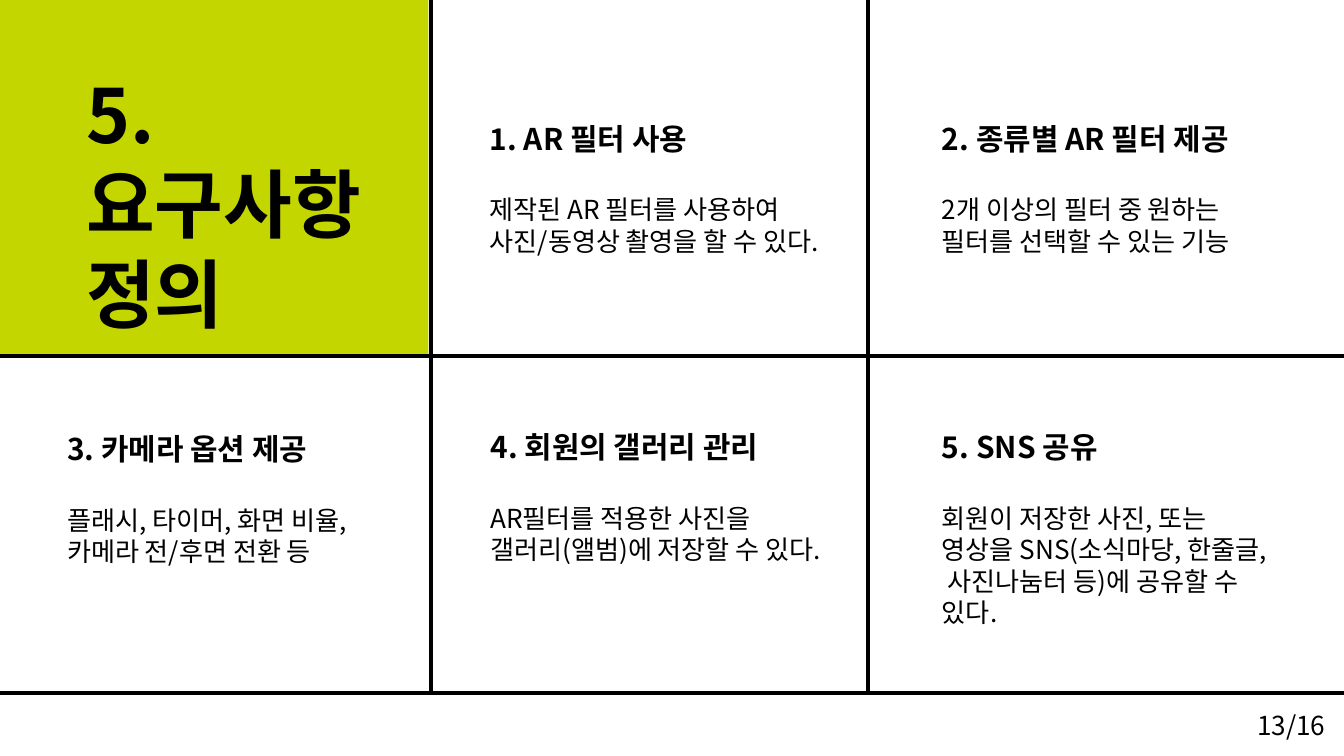
from pptx import Presentation
from pptx.dml.color import RGBColor
from pptx.enum.shapes import MSO_CONNECTOR, MSO_SHAPE
from pptx.enum.text import MSO_ANCHOR, MSO_AUTO_SIZE, PP_ALIGN
from pptx.oxml.ns import qn
from pptx.util import Pt
from lxml import etree

LINE = MSO_CONNECTOR.STRAIGHT
RECT = MSO_SHAPE.RECTANGLE
TOP = MSO_ANCHOR.TOP
GROW = MSO_AUTO_SIZE.SHAPE_TO_FIT_TEXT
LEFT, RIGHT = PP_ALIGN.LEFT, PP_ALIGN.RIGHT

BLACK = RGBColor(0, 0, 0)
LIME = RGBColor(0xC3, 0xD6, 0x00)
FONT = "Noto Sans CJK KR"

# Content
TITLE = ["5.", "요구사항", "정의"]
PAGE = "13/16"
# left, top, heading, text, text height
CARDS = [
    (517.7, 122.4, "1. AR 필터 사용",
     "제작된 AR 필터를 사용하여 사진/동영상 촬영을 할 수 있다.", 75),
    (1002.2, 122.4, "2. 종류별 AR 필터 제공",
     "2개 이상의 필터 중 원하는 필터를 선택할 수 있는 기능", 75),
    (64.8, 455, "3. 카메라 옵션 제공",
     "플래시, 타이머, 화면 비율, 카메라 전/후면 전환 등", 75),
    (518.4, 453, "4. 회원의 갤러리 관리",
     "AR필터를 적용한 사진을 갤러리(앨범)에 저장할 수 있다.", 75),
    (1002.2, 453, "5. SNS 공유",
     "회원이 저장한 사진, 또는 영상을 SNS(소식마당, 한줄글, 사진나눔터 등)에 "
     "공유할 수 있다.", 108.7),
]
CARD_W, HEAD_H, STEP = 361.4, 46, 79.2

# Grid rules: x1, y1, x2, y2
RULES = [
    (-24, 381.6, 1476, 381.6),
    (461.5, -58, 461.5, 741),
    (-132, 742.3, 1476, 742.3),
    (930.2, -57, 930.2, 742.3),
]


def write(box, lines, size, bold=False, align=LEFT):
    frame = box.text_frame
    frame.word_wrap = True
    frame.auto_size = GROW
    frame.vertical_anchor = TOP
    # Tight line pitch lifts the first line, so the inset lowers it again
    frame.margin_top = Pt(3.6 + size * 0.09)
    frame.margin_bottom = Pt(0)
    for i, line in enumerate(lines):
        para = frame.add_paragraph() if i else frame.paragraphs[0]
        para.alignment = align
        para.line_spacing = Pt(size * 1.2)
        para.space_before = Pt(0)
        run = para.add_run()
        run.text = line
        font = run.font
        font.name, font.size, font.bold = FONT, Pt(size), bold
        font.color.rgb = BLACK
        asian = etree.SubElement(run._r.get_or_add_rPr(), qn("a:ea"))
        asian.set("typeface", FONT)


def add_text(slide, x, y, w, h, text, size, bold=False, align=LEFT):
    box = slide.shapes.add_textbox(Pt(x), Pt(y), Pt(w), Pt(h))
    write(box, [text], size, bold, align)


def main():
    deck = Presentation()
    deck.slide_width, deck.slide_height = Pt(1440), Pt(810)
    slide = deck.slides.add_slide(deck.slide_layouts[5])
    shapes = slide.shapes

    # Title on its lime panel
    title = shapes.title
    panel = shapes.add_shape(RECT, Pt(-60), Pt(-37.4), Pt(519), Pt(417.6))
    panel.shadow.inherit = False
    panel.fill.solid()
    panel.fill.fore_color.rgb = LIME
    panel.line.fill.background()
    title._element.addprevious(panel._element)
    title.left, title.top = Pt(85), Pt(62.6)
    title.width, title.height = Pt(352.8), Pt(298)
    write(title, TITLE, 80, True)

    # Grid
    for ends in RULES:
        rule = shapes.add_connector(LINE, *map(Pt, ends))
        rule.line.color.rgb = BLACK
        rule.line.width = Pt(4.5)
        etree.SubElement(rule._element.spPr, qn("a:effectLst"))

    # Cards
    for x, y, head, text, high in CARDS:
        add_text(slide, x, y + STEP, CARD_W, high, text, 28)
        add_text(slide, x, y, CARD_W, HEAD_H, head, 32, True)

    # Page number
    add_text(slide, 1319.8, 753.8, 107.3, 41, PAGE, 28, align=RIGHT)
    deck.save("out.pptx")


if __name__ == "__main__":
    main()
